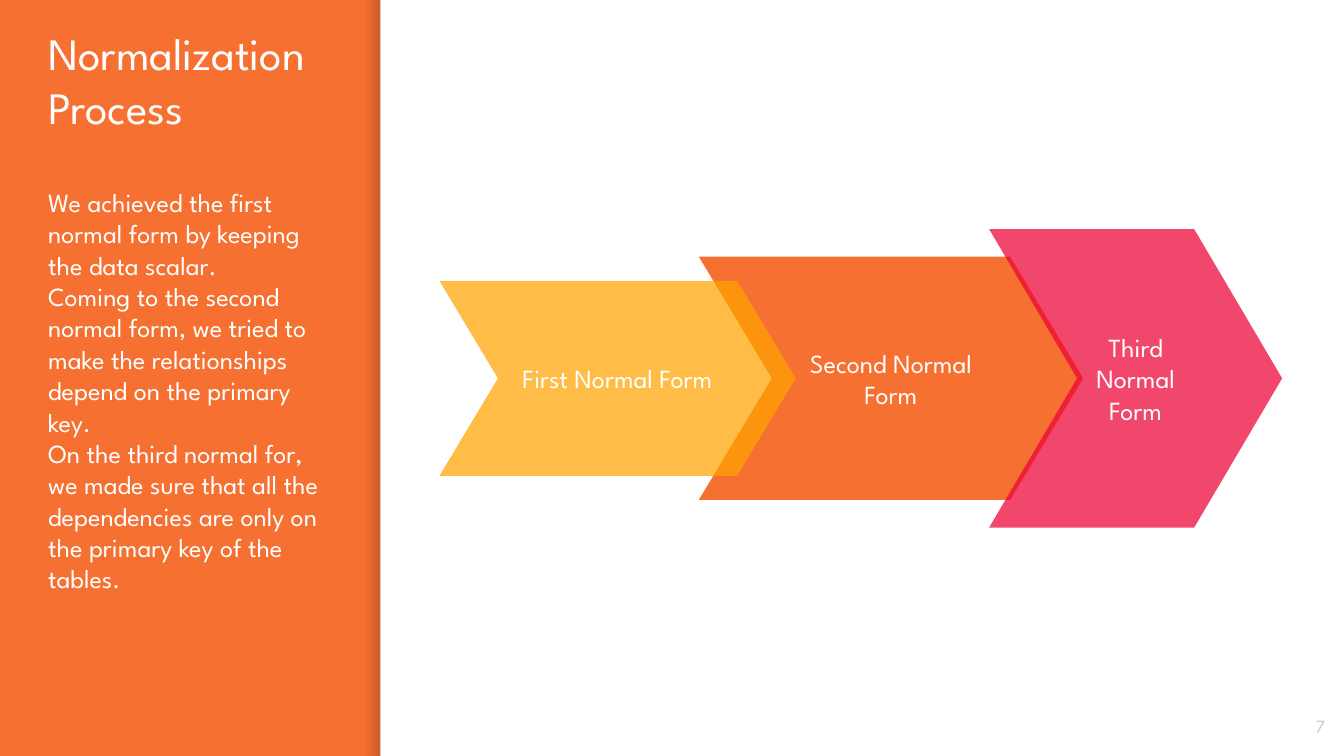
from lxml import etree
from pptx import Presentation
from pptx import util as u
from pptx.dml.color import RGBColor
from pptx.enum import shapes, text
from pptx.oxml.ns import qn

COLUMNS, ROWS = 100, 56.25  # grid of 0.1 inch cells
CELL = u.Inches(0.1)
ORANGE, WHITE, GRAY = "F67031", "FFFFFF", "CCCCCC"
PANEL_EDGE = 28.3
ARROW_AXIS = 28.15


def color(hex_code):
    return RGBColor.from_string(hex_code)


def set_alpha(color_element, percent):
    etree.SubElement(color_element, qn("a:alpha"), val=str(percent * 1000))


class Deck:
    font = "League Spartan"

    def __init__(self):
        self.presentation = Presentation()
        self.presentation.slide_width = int(COLUMNS * CELL)
        self.presentation.slide_height = int(ROWS * CELL)

    def add_slide(self, background):
        self.slide = self.presentation.slides.add_slide(self.presentation.slide_layouts[6])
        self.slide.background.fill.solid()
        self.slide.background.fill.fore_color.rgb = color(background)

    def grid(self, *cells):
        return [int(n * CELL) for n in cells]

    def shape(self, preset, place):
        shape = self.slide.shapes.add_shape(preset, *self.grid(*place))
        shape.shadow.inherit = False
        shape.line.fill.background()
        return shape

    def block(self, preset, place, fill, opacity=100):
        block = self.shape(preset, place)
        block.fill.solid()
        block.fill.fore_color.rgb = color(fill)
        if opacity < 100:
            set_alpha(block.element.spPr.find(".//" + qn("a:srgbClr")), opacity)
        return block

    def fade(self, place, fill, opacities):
        band = self.shape(shapes.MSO_SHAPE.RECTANGLE, place)
        band.fill.gradient()
        band.fill.gradient_angle = 0
        for stop in band.fill.gradient_stops:
            stop.color.rgb = color(fill)
        for tint, opacity in zip(band.element.spPr.iter(qn("a:srgbClr")), opacities):
            set_alpha(tint, opacity)

    def set_text(self, frame, paragraphs, anchor, align, ink=WHITE):
        """Fill a frame with (wording, size, space before) paragraphs."""
        frame_format = {"word_wrap": True, "vertical_anchor": anchor,
                        "margin_left": CELL, "margin_right": CELL,
                        "margin_top": CELL, "margin_bottom": CELL}
        for key, value in frame_format.items():
            setattr(frame, key, value)
        for index, (wording, size, before) in enumerate(paragraphs):
            paragraph = frame.add_paragraph() if index else frame.paragraphs[0]
            paragraph.alignment = align
            paragraph.space_before = u.Pt(before)
            run = paragraph.add_run()
            run.text = wording
            for key, value in {"name": self.font, "size": u.Pt(size)}.items():
                setattr(run.font, key, value)
            run.font.color.rgb = color(ink)

    def label(self, place, paragraphs, anchor, align, ink=WHITE):
        box = self.slide.shapes.add_textbox(*self.grid(*place))
        self.set_text(box.text_frame, paragraphs, anchor, align, ink)

    def stage(self, wording, left, width, height, fill, opacity):
        """A chevron centred on the arrow axis."""
        place = left, ARROW_AXIS - height / 2, width, height
        chevron = self.block(shapes.MSO_SHAPE.CHEVRON, place, fill, opacity)
        chevron.adjustments[0] = 0.3
        self.set_text(chevron.text_frame, [(wording, 14, 0)],
                      text.MSO_ANCHOR.MIDDLE, text.PP_ALIGN.CENTER)


def main():
    deck = Deck()
    deck.add_slide(ORANGE)

    # Side panel shadow and white stage area
    deck.fade((PANEL_EDGE - 1.2, 0, 1.2, ROWS), "000014", (0, 20))
    deck.block(shapes.MSO_SHAPE.RECTANGLE,
               (PANEL_EDGE, 0, COLUMNS - PANEL_EDGE, ROWS), WHITE)

    # Title and explanation
    explanation = [
        ("Normalization Process", 24, 0),
        ("We achieved the first normal form by keeping the data scalar.", 14, 28.5),
        ("Coming to the second normal form, we tried to make the relationships "
         "depend on the primary key.", 14, 0),
        ("On the third normal for, we made sure that all the dependencies are "
         "only on the primary key of the tables.", 14, 0),
    ]
    deck.label((2.6, 0.9, 23.2, 54.1), explanation,
               text.MSO_ANCHOR.TOP, text.PP_ALIGN.LEFT)

    # Slide number
    deck.label((93.6, 51.9, 6, 4.3), [("7", 10, 0)],
               text.MSO_ANCHOR.MIDDLE, text.PP_ALIGN.RIGHT, GRAY)

    # Normal forms, back to front
    stages = [
        ("Second Normal Form", 52, 28.6, 18.1, ORANGE, 100),
        ("Third Normal Form", 73.6, 21.8, 22.2, "ED0036", 72),
        ("First Normal Form", 32.7, 26.5, 14.5, "FFA400", 72),
    ]
    for stage in stages:
        deck.stage(*stage)

    deck.presentation.save("out.pptx")


if __name__ == "__main__":
    main()
